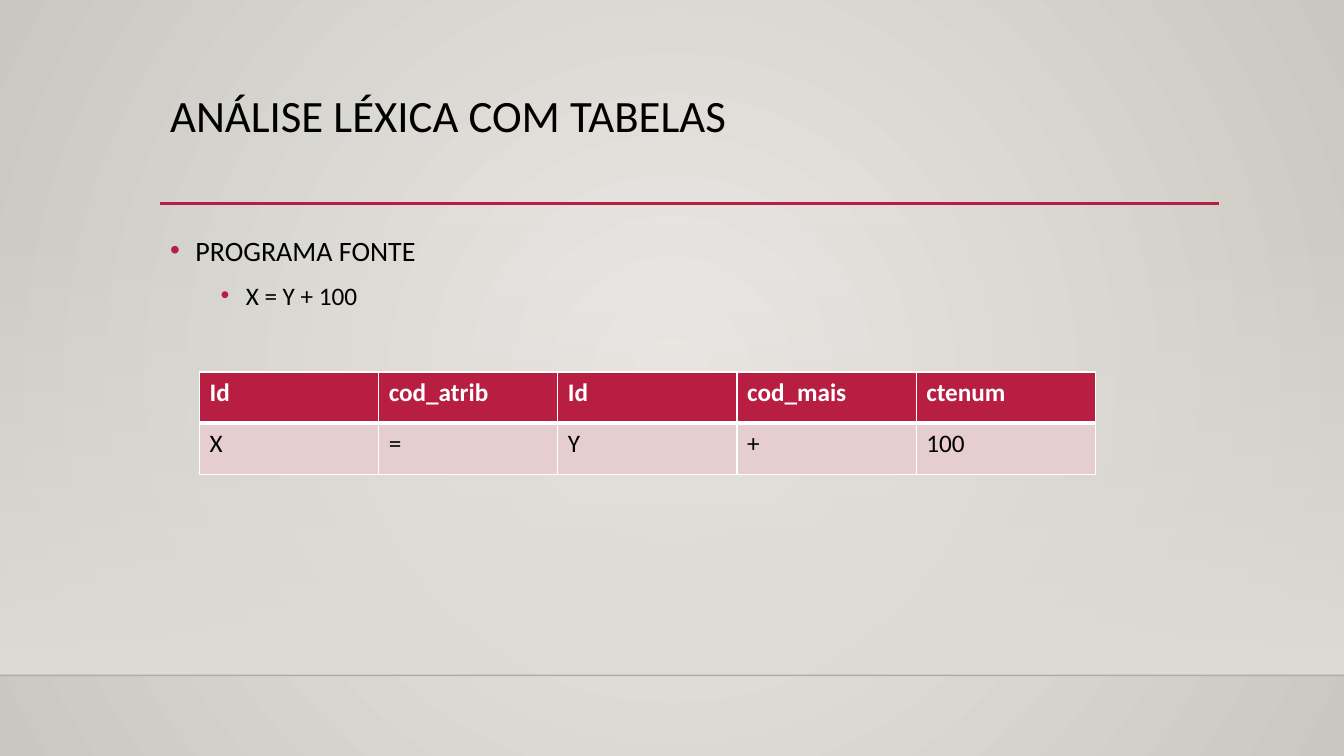
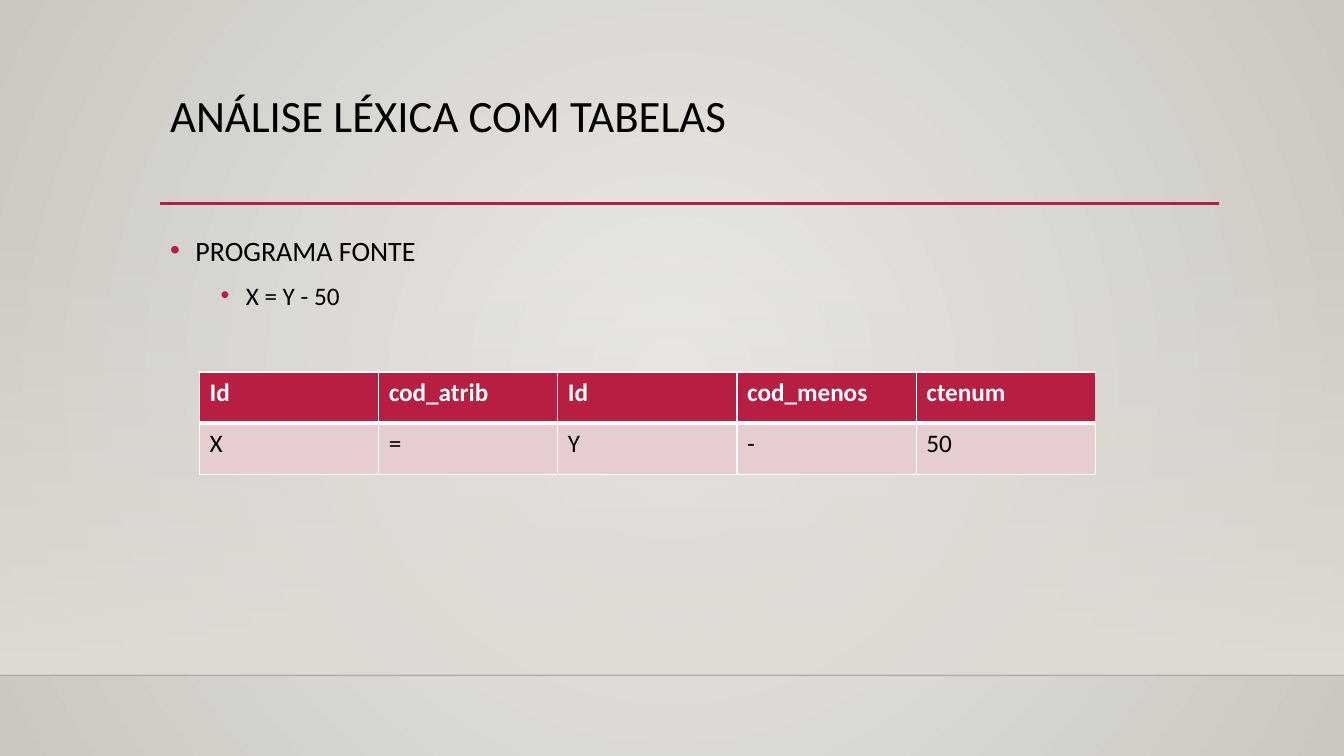
"""Build two slides on lexical analysis with token tables."""
from dataclasses import dataclass

from lxml import etree
from pptx import Presentation
from pptx import util as u
from pptx.dml.color import RGBColor
from pptx.enum import shapes, text
from pptx.oxml.ns import qn


@dataclass(frozen=True)
class Theme:
    """Colours, typeface and type sizes shared by all slides."""
    font: str = "Calibri"
    ink: str = "000000"
    white: str = "FFFFFF"
    accent: str = "B71E42"
    tint: str = "E6CDCF"
    glow: str = "ECEAE7"
    edge: str = "CAC7C1"
    wall: str = "DFDBD5"
    floor: str = "000001"
    title_size: int = 32
    body_size: int = 20
    detail_size: int = 18


THEME = Theme()
PAGE_WIDTH, PAGE_HEIGHT = 960, 540
LEFT, TEXT_WIDTH = 114.5, 756
FLOOR_TOP, WALL_TOP = 482.4, 159.1
TITLE = "ANÁLISE LÉXICA COM TABELAS"
EXAMPLES = [
    ("X = Y + 100", [("Id", "cod_atrib", "Id", "cod_mais", "ctenum"),
                     ("X", "=", "Y", "+", "100")]),
    ("X = Y - 50", [("Id", "cod_atrib", "Id", "cod_menos", "ctenum"),
                    ("X", "=", "Y", "-", "50")]),
]


def points(*lengths):
    """Turn numbers into point lengths."""
    return [u.Pt(length) for length in lengths]


def add_element(parent, tag, **attributes):
    """Append a child element with the given attributes."""
    return etree.SubElement(parent, qn(tag), attributes)


def set_alpha(parent, percent):
    """Make the first plain colour below an element translucent."""
    colour = parent.find(".//" + qn("a:srgbClr"))
    add_element(colour, "a:alpha", val=str(percent * 1000))


def set_gradient(fill, first, last):
    """Give a fill a two-colour gradient running downwards."""
    fill.gradient()
    fill.gradient_angle = 270
    for stop, colour, position in zip(fill.gradient_stops, (first, last), (0, 1)):
        stop.color.rgb = RGBColor.from_string(colour)
        stop.position = position


def set_background(master):
    """Give the master a circular gradient background."""
    set_gradient(master.background.fill, THEME.glow, THEME.edge)
    gradient = master.element.find(".//" + qn("a:gradFill"))
    gradient.remove(gradient.find(qn("a:lin")))
    circle = add_element(gradient, "a:path", path="circle")
    add_element(circle, "a:fillToRect", **dict.fromkeys("ltrb", "50000"))


def style(paragraph, size, colour=THEME.ink, bold=False):
    """Set the font of a paragraph."""
    font = paragraph.font
    font.name, font.size, font.bold = THEME.font, u.Pt(size), bold
    font.color.rgb = RGBColor.from_string(colour)


def add_wall(page):
    """Draw the band that fades in towards the floor line."""
    band = page.shapes.add_shape(
        shapes.MSO_SHAPE.RECTANGLE,
        *points(0, WALL_TOP, PAGE_WIDTH, FLOOR_TOP - WALL_TOP))
    band.shadow.inherit = False
    band.line.fill.background()
    set_gradient(band.fill, THEME.wall, THEME.wall)
    set_alpha(band.element.spPr, 0)


def add_rule(page, left, right, top, colour, width):
    """Draw a horizontal line and return it."""
    rule = page.shapes.add_connector(
        shapes.MSO_CONNECTOR.STRAIGHT, *points(left, top, right, top))
    rule.line.color.rgb = RGBColor.from_string(colour)
    rule.line.width = u.Pt(width)
    add_element(rule.element.spPr, "a:effectLst")
    return rule


def add_box(page, top, height):
    """Add a wrapping text box in the text column and return its frame."""
    frame = page.shapes.add_textbox(
        *points(LEFT, top, TEXT_WIDTH, height)).text_frame
    frame.word_wrap = True
    frame.vertical_anchor = text.MSO_ANCHOR.TOP
    return frame


def add_title(page, title):
    """Add the slide title."""
    paragraph = add_box(page, 63.4, 82.8).paragraphs[0]
    paragraph.text = title
    paragraph.line_spacing = 0.9
    style(paragraph, THEME.title_size)


def set_bullet(paragraph, words, level, size):
    """Fill a paragraph as a bullet of the given level."""
    paragraph.text = words
    paragraph.level = level
    paragraph.line_spacing = 1.2
    properties = paragraph._p.get_or_add_pPr()
    properties.set("marL", str(u.Pt(18 + 36 * level)))
    properties.set("indent", str(u.Pt(-18)))
    colour = add_element(properties, "a:buClr")
    add_element(colour, "a:srgbClr", val=THEME.accent)
    add_element(properties, "a:buFont", typeface="Arial")
    add_element(properties, "a:buChar", char="•")
    style(paragraph, size)


def add_source(page, statement):
    """Add the source program as a bullet with a detail below."""
    frame = add_box(page, 158.4, 271.4)
    set_bullet(frame.paragraphs[0], "PROGRAMA FONTE", 0, THEME.body_size)
    detail = frame.add_paragraph()
    set_bullet(detail, statement, 1, THEME.detail_size)
    detail.space_before = u.Pt(5)


def set_borders(cell, top, bottom):
    """Draw white cell borders with the given top and bottom widths."""
    properties = cell._tc.get_or_add_tcPr()
    for side, width in zip("LRTB", (1, 1, top, bottom)):
        line = add_element(properties, "a:ln" + side, w=str(u.Pt(width)))
        fill = add_element(line, "a:solidFill")
        add_element(fill, "a:srgbClr", val=THEME.white)


def add_tokens(page, rows):
    """Add the token table with a header row."""
    table = page.shapes.add_table(
        len(rows), len(rows[0]), *points(142.5, 265.7, 640, 73.4)).table
    looks = [(THEME.accent, THEME.white, True, 1, 3),
             (THEME.tint, THEME.ink, False, 3, 1)]
    for row, words, look in zip(table.rows, rows, looks):
        fill, colour, bold, top, bottom = look
        for cell, word in zip(row.cells, words):
            cell.text = word
            style(cell.text_frame.paragraphs[0], THEME.detail_size, colour, bold)
            set_borders(cell, top, bottom)
            cell.fill.solid()
            cell.fill.fore_color.rgb = RGBColor.from_string(fill)


def add_page(deck, statement, rows):
    """Add one slide with its frame, source statement and tokens."""
    page = deck.slides.add_slide(deck.slide_layouts[6])
    add_wall(page)
    floor = add_rule(page, 0, PAGE_WIDTH, FLOOR_TOP, THEME.floor, 1)
    set_alpha(floor.element.spPr, 20)
    add_rule(page, LEFT, 871, 145.4, THEME.accent, 2.5)
    add_title(page, TITLE)
    add_source(page, statement)
    add_tokens(page, rows)


def main():
    """Build and save the deck."""
    deck = Presentation()
    deck.slide_width, deck.slide_height = points(PAGE_WIDTH, PAGE_HEIGHT)
    set_background(deck.slide_master)
    for statement, rows in EXAMPLES:
        add_page(deck, statement, rows)
    deck.save("out.pptx")


if __name__ == "__main__":
    main()
